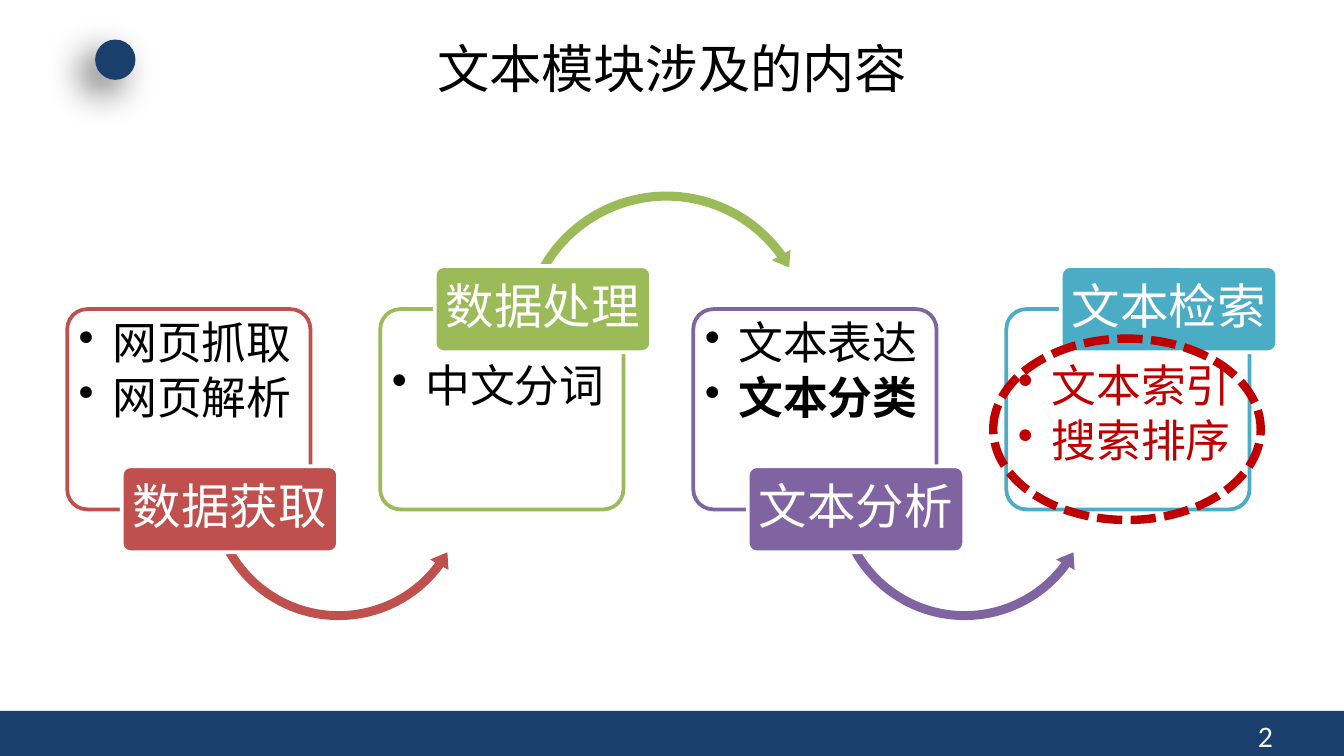
from lxml import etree
from pptx import Presentation
from pptx.dml.color import RGBColor
from pptx.enum.dml import MSO_LINE
from pptx.enum.shapes import MSO_SHAPE as Kind
from pptx.enum.text import MSO_ANCHOR as Anchor, PP_ALIGN as Align
from pptx.oxml.ns import qn
from pptx.util import Pt

HUES = {
    "navy": "1A3F6C", "red": "C0504D", "green": "9BBB59", "purple": "8064A2",
    "teal": "4BACC6", "alert": "C00000", "white": "FFFFFF", "black": "000000",
    "pale": "F2F2F2",
}
BODY, HEAD = "Calibri", "Noto Sans CJK SC"

# label, hue, text hue, items as (text, bold)
STEPS = [
    ("数据获取", "red", "black", [("网页抓取", False), ("网页解析", False)]),
    ("数据处理", "green", "black", [("中文分词", False)]),
    ("文本分析", "purple", "black", [("文本表达", False), ("文本分类", True)]),
    ("文本检索", "teal", "alert", [("文本索引", False), ("搜索排序", False)]),
]
LEFT, PITCH = 36, 167.7
LOW = [0.033, 4.076, 21.831, 90.245, 0.039]
HIGH = [0.03, 3.629, 194.616, 125.755, 0.035]


def hue(name):
    return RGBColor.from_string(HUES[name])


def add_form(slide, kind, box, fill=None, line=None, width=2, adj=()):
    form = slide.shapes.add_shape(kind, *map(Pt, box))
    form.shadow.inherit = False
    if fill:
        form.fill.solid()
        form.fill.fore_color.rgb = hue(fill)
    else:
        form.fill.background()
    if line:
        form.line.color.rgb = hue(line)
        form.line.width = Pt(width)
    else:
        form.line.fill.background()
    for i, value in enumerate(adj):
        form.adjustments[i] = value
    return form


def set_frame(frame, pads, anchor=Anchor.TOP):
    frame.word_wrap = True
    frame.vertical_anchor = anchor
    frame.margin_left = frame.margin_right = Pt(pads[0])
    frame.margin_top = frame.margin_bottom = Pt(pads[1])


def add_run(para, words, size, color, face=BODY, bold=False):
    run = para.add_run()
    run.text = words
    font = run.font
    font.size, font.name, font.bold = Pt(size), face, bold
    font.color.rgb = hue(color)
    east = etree.Element(qn("a:ea"), typeface=face)
    run._r.rPr.find(qn("a:latin")).addnext(east)


def add_text(slide, box, pads, anchor=Anchor.TOP):
    frame = slide.shapes.add_textbox(*map(Pt, box)).text_frame
    set_frame(frame, pads, anchor)
    return frame


def add_bullet(para):
    props = para._p.get_or_add_pPr()
    props.set("marL", str(Pt(18)))
    props.set("indent", str(-Pt(18)))
    etree.SubElement(props, qn("a:buChar"), char="•")


def add_list(slide, box, items, color):
    frame = add_text(slide, box, (3.6, 3.6))
    for i, (words, bold) in enumerate(items):
        para = frame.add_paragraph() if i else frame.paragraphs[0]
        add_bullet(para)
        para.line_spacing = 0.9
        para.space_after = Pt(3.6)
        add_run(para, words, 24, color, bold=bold)


def add_step(slide, rank, step):
    """Panel, list, arrow to the next step, and label; odd ranks put the label on top."""
    label, tone, ink, items = step
    x, top = LEFT + rank * PITCH, rank % 2 == 1
    add_form(slide, Kind.ROUNDED_RECTANGLE, (x, 165.6, 130.3, 107.3),
             "white", tone, adj=[0.1])
    add_list(slide, (x + 2.6, 191.5 if top else 168.5, 125.3, 79.2), items, ink)
    if rank < len(STEPS) - 1:
        if top:
            add_form(slide, Kind.CIRCULAR_ARROW, (x + 72, 99.4, 162.7, 162.7),
                     tone, adj=HIGH)
        else:
            add_form(slide, Kind.LEFT_CIRCULAR_ARROW, (x + 72.7, 190.1, 145.4, 145.4),
                     tone, adj=LOW)
    tag = add_form(slide, Kind.ROUNDED_RECTANGLE,
                   (x + 29.2, 142.6 if top else 249.8, 115.9, 46.1),
                   tone, "white", adj=[0.1])
    set_frame(tag.text_frame, (3.6, 2.9), Anchor.MIDDLE)
    para = tag.text_frame.paragraphs[0]
    para.alignment, para.line_spacing = Align.CENTER, 0.9
    add_run(para, label, 26, "white")


def add_glow(form):
    """Soft shadow towards the lower left."""
    effects = form._element.spPr.find(qn("a:effectLst"))
    shade = etree.SubElement(effects, qn("a:outerShdw"), blurRad=str(Pt(20)),
                             dist=str(Pt(10)), dir="8100000", algn="tr",
                             rotWithShape="0")
    color = etree.SubElement(shade, qn("a:srgbClr"), val=HUES["black"])
    etree.SubElement(color, qn("a:alpha"), val="60000")


def add_base(slide):
    add_form(slide, Kind.RECTANGLE, (0, 380.9, 720, 24.1), "navy")
    page = add_text(slide, (666.7, 380.9, 49.7, 21.6), (7.2, 3.6))
    add_run(page.paragraphs[0], "2", 16, "pale")
    add_glow(add_form(slide, Kind.OVAL, (51, 21.2, 21.6, 21.6), "navy"))
    title = add_text(slide, (36, 16.6, 648, 39.6), (7.2, 3.6), Anchor.MIDDLE)
    title.paragraphs[0].alignment = Align.CENTER
    add_run(title.paragraphs[0], "文本模块涉及的内容", 28, "black", HEAD)


def main():
    deck = Presentation()
    deck.slide_width, deck.slide_height = Pt(720), Pt(405)
    slide = deck.slides.add_slide(deck.slide_layouts[6])
    add_base(slide)
    for rank, step in enumerate(STEPS):
        add_step(slide, rank, step)
    ring = add_form(slide, Kind.OVAL, (532.1, 181.4, 143.3, 97.2),
                    line="alert", width=4.5)
    ring.line.dash_style = MSO_LINE.SQUARE_DOT
    deck.save("out.pptx")


if __name__ == "__main__":
    main()
